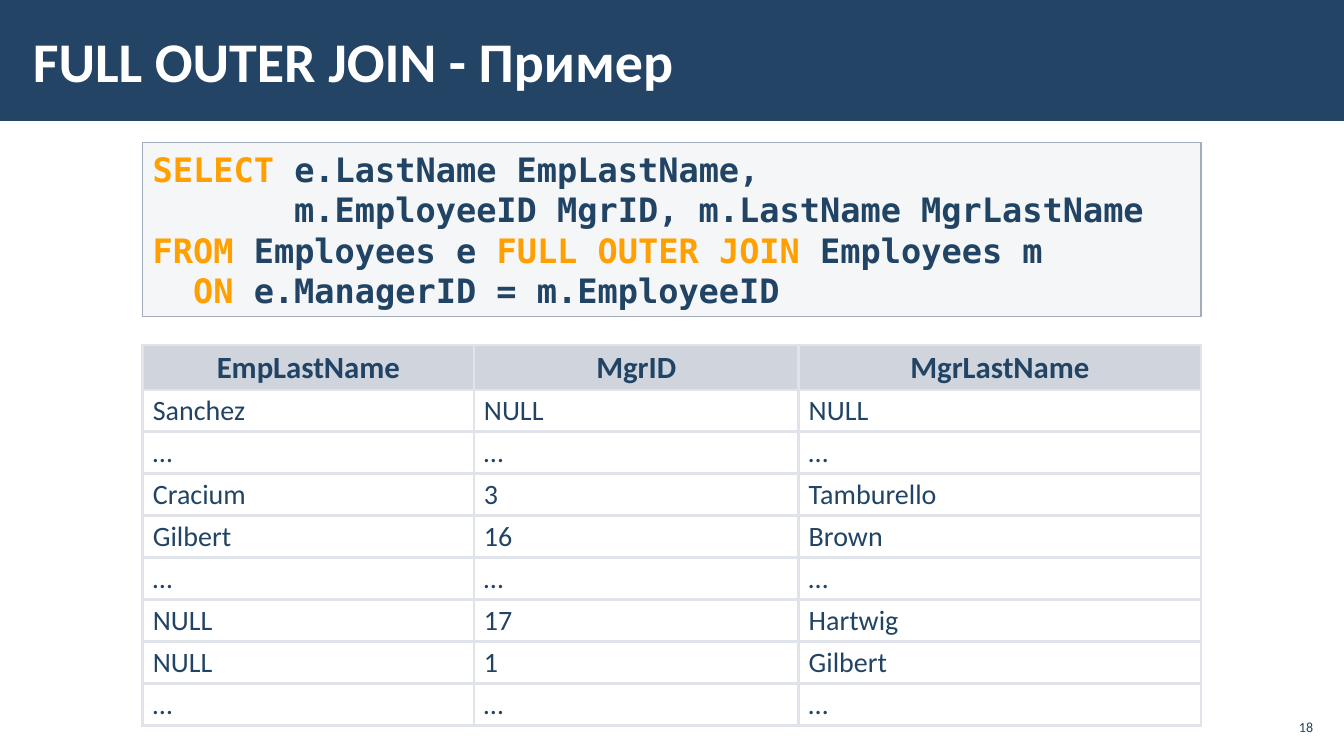
"""Build the FULL OUTER JOIN example slide."""
from lxml import etree
from pptx import Presentation
from pptx.dml.color import RGBColor
from pptx.enum.shapes import MSO_SHAPE
from pptx.enum.text import MSO_ANCHOR, PP_ALIGN
from pptx.oxml.ns import qn
from pptx.util import Pt

RECTANGLE = MSO_SHAPE.RECTANGLE
MIDDLE, BOTTOM = MSO_ANCHOR.MIDDLE, MSO_ANCHOR.BOTTOM
LEFT, CENTER, RIGHT = PP_ALIGN.LEFT, PP_ALIGN.CENTER, PP_ALIGN.RIGHT

COLORS = {
    "banner": "234465", "title": "FFFFFF", "text": "224464", "keyword": "FFA000",
    "code_fill": "C2C7D2", "code_line": "A3ABBC", "header_fill": "A3ABBC",
    "border": "E0E3E9",
}
BODY_FONT, CODE_FONT = "Calibri", "DejaVu Sans Mono"

TITLE = "FULL OUTER JOIN - Пример"
SLIDE_NUMBER = "18"
CODE = [
    [("SELECT ", "keyword"), ("e.LastName EmpLastName,", "text")],
    [("       m.EmployeeID MgrID, m.LastName MgrLastName", "text")],
    [("FROM ", "keyword"), ("Employees e ", "text"),
     ("FULL OUTER JOIN ", "keyword"), ("Employees m", "text")],
    [("  ", "text"), ("ON ", "keyword"), ("e.ManagerID = m.EmployeeID", "text")],
]
ROWS = [
    ("EmpLastName", "MgrID", "MgrLastName"),
    ("Sanchez", "NULL", "NULL"),
    ("…", "…", "…"),
    ("Cracium", "3", "Tamburello"),
    ("Gilbert", "16", "Brown"),
    ("…", "…", "…"),
    ("NULL", "17", "Hartwig"),
    ("NULL", "1", "Gilbert"),
    ("…", "…", "…"),
]
COLUMN_WIDTHS = (236.5, 232, 287.5)
HEADER_HEIGHT, ROW_HEIGHT = 32, 30
CONTENT_LEFT, CONTENT_WIDTH = 102, sum(COLUMN_WIDTHS)


def rgb(name):
    """Return the named colour."""
    return RGBColor.from_string(COLORS[name])


def set_fill(fill, color, opacity=100):
    """Fill with a colour at an opacity in percent."""
    fill.solid()
    fill.fore_color.rgb = rgb(color)
    if opacity < 100:
        element = fill._xPr.find(qn("a:solidFill"))[0]
        etree.SubElement(element, qn("a:alpha"), val=str(opacity * 1000))


def add_run(paragraph, text, size, color, bold=False, font=BODY_FONT):
    """Append one formatted run."""
    run = paragraph.add_run()
    run.text = text
    run.font.name, run.font.size, run.font.bold = font, Pt(size), bold
    run.font.color.rgb = rgb(color)


def set_margins(target, horizontal, vertical):
    """Set the four inner margins of a text frame or cell."""
    target.margin_left = target.margin_right = Pt(horizontal)
    target.margin_top = target.margin_bottom = Pt(vertical)


def add_rectangle(slide, bounds, color, opacity=100):
    """Add a flat rectangle without a line."""
    shape = slide.shapes.add_shape(RECTANGLE, *map(Pt, bounds))
    shape.shadow.inherit = False
    set_fill(shape.fill, color, opacity)
    shape.line.fill.background()
    return shape


def add_label(slide, bounds, text, size, color, bold, anchor, align, margins):
    """Add a one-line text box."""
    frame = slide.shapes.add_textbox(*map(Pt, bounds)).text_frame
    frame.word_wrap = True
    frame.vertical_anchor = anchor
    set_margins(frame, *margins)
    frame.paragraphs[0].alignment = align
    add_run(frame.paragraphs[0], text, size, color, bold)


def add_code(slide):
    """Add the query box with highlighted keywords."""
    shape = add_rectangle(slide, (CONTENT_LEFT, 102, CONTENT_WIDTH, 124), "code_fill", 15)
    shape.line.color.rgb = rgb("code_line")
    shape.line.width = Pt(1)
    frame = shape.text_frame
    frame.word_wrap = True
    frame.vertical_anchor = MIDDLE
    set_margins(frame, 7.2, 3.6)
    for index, line in enumerate(CODE):
        paragraph = frame.add_paragraph() if index else frame.paragraphs[0]
        paragraph.alignment = LEFT
        for text, color in line:
            add_run(paragraph, text, 24, color, True, CODE_FONT)


def add_borders(cell):
    """Draw the four borders of a cell."""
    properties = cell._tc.get_or_add_tcPr()
    for position, side in enumerate(("lnL", "lnR", "lnT", "lnB")):
        line = etree.Element(qn(f"a:{side}"), w=str(Pt(2.25)))
        fill = etree.SubElement(line, qn("a:solidFill"))
        etree.SubElement(fill, qn("a:srgbClr"), val=COLORS["border"])
        properties.insert(position, line)


def add_result(slide):
    """Add the query result table."""
    heights = [HEADER_HEIGHT] + [ROW_HEIGHT] * (len(ROWS) - 1)
    bounds = (CONTENT_LEFT, 246.5, CONTENT_WIDTH, sum(heights))
    table = slide.shapes.add_table(len(ROWS), len(COLUMN_WIDTHS), *map(Pt, bounds)).table
    table.horz_banding = False
    for column, width in zip(table.columns, COLUMN_WIDTHS):
        column.width = Pt(width)
    for row, height, texts in zip(table.rows, heights, ROWS):
        row.height = Pt(height)
        header = texts is ROWS[0]
        for cell, text in zip(row.cells, texts):
            cell.vertical_anchor = MIDDLE
            set_margins(cell, 7.2, 3.4)
            if header:
                set_fill(cell.fill, "header_fill", 50)
            else:
                cell.fill.background()
            add_borders(cell)
            paragraph = cell.text_frame.paragraphs[0]
            paragraph.alignment = CENTER if header else LEFT
            paragraph.line_spacing = 0.95
            add_run(paragraph, text, 22 if header else 20, "text", header)


def main():
    """Build and save the presentation."""
    presentation = Presentation()
    presentation.slide_width, presentation.slide_height = Pt(960), Pt(540)
    slide = presentation.slides.add_slide(presentation.slide_layouts[6])
    add_rectangle(slide, (0, 0, 960, 86.4), "banner")
    add_label(slide, (15, 8, 765, 70), TITLE, 40, "title", True, MIDDLE, LEFT, (8.5, 2.9))
    add_code(slide)
    add_result(slide)
    add_label(slide, (911, 514, 34, 15), SLIDE_NUMBER, 10, "banner", False,
              BOTTOM, RIGHT, (7.2, 3.6))
    presentation.save("out.pptx")


if __name__ == "__main__":
    main()
